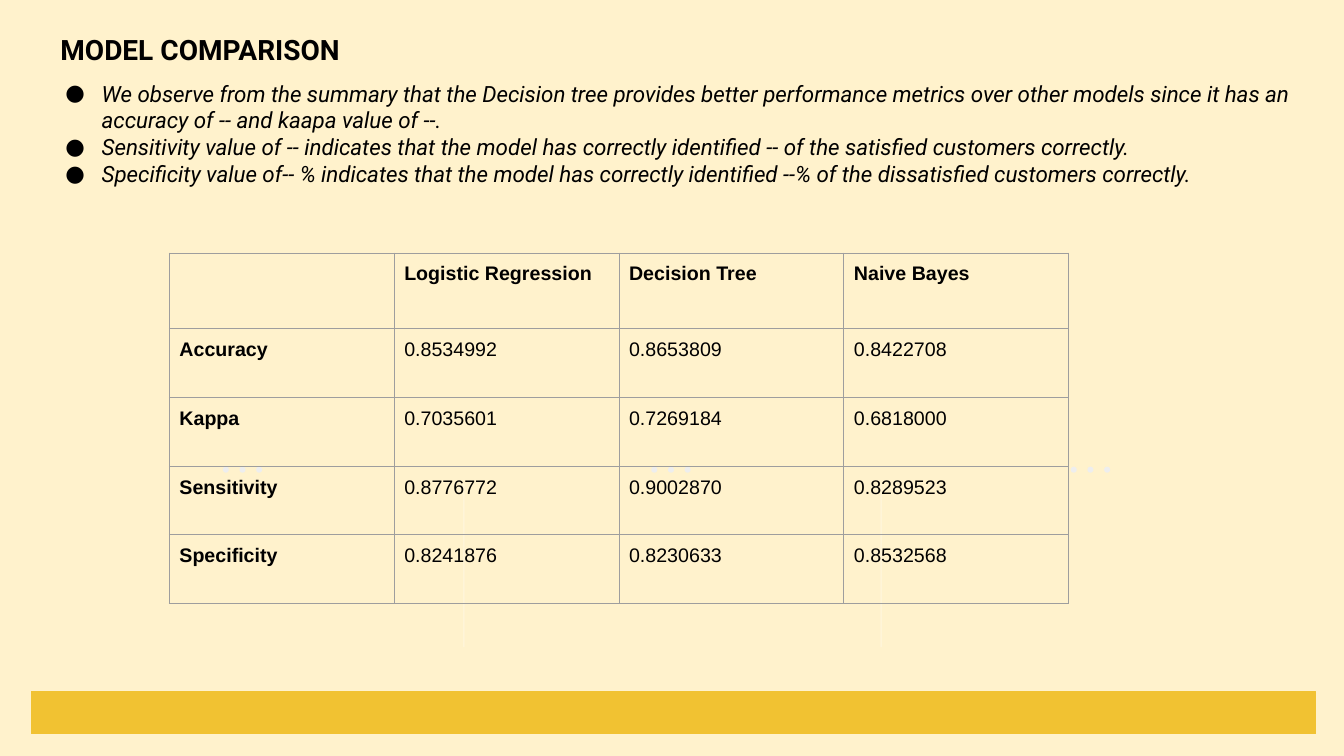
"""Build the model comparison slide, with every length given as a percentage of the slide."""
from typing import NamedTuple

from lxml.etree import SubElement
from pptx import Presentation
from pptx.dml.color import RGBColor
from pptx.enum.shapes import MSO_CONNECTOR, MSO_SHAPE
from pptx.oxml.ns import qn
from pptx.util import Inches, Pt

COLORS = {"page": "FFF2CC", "bar": "F1C232", "dot": "EEEEEE", "rule": "FFFFFF",
          "border": "9E9E9E", "text": "000000"}
WIDTH, HEIGHT = Inches(13.33), Inches(7.5)
TITLE_FONT = {"name": "Roboto", "size": Pt(20), "bold": True}
BULLET_FONT = {"name": "Roboto", "size": Pt(16), "italic": True}
LABEL_FONT = {"name": "Arial", "size": Pt(14), "bold": True}
VALUE_FONT = {**LABEL_FONT, "bold": False}
MARGINS = {f"margin_{side}": Inches(0.1) for side in ("left", "top", "right", "bottom")}


class Box(NamedTuple):
    left: float
    top: float
    width: float
    height: float


class TextBlock(NamedTuple):
    box: Box
    lines: list[str]
    font: dict
    bulleted: bool = False


BAR = Box(2.33, 91.47, 95.57, 5.6)
RULE_COLUMNS, RULE_TOP, RULE_BOTTOM = (34.51, 65.57), 64, 85.6
DOT_STARTS, DOT_STEP, DOT_TOP = (16.58, 48.46, 79.67), 1.24, 61.73
TABLE_LEFT, TABLE_TOP, COLUMN, HEADER_ROW, BODY_ROW = 12.6, 33.47, 16.73, 10, 9.1

TEXTS = [
    TextBlock(Box(3.08, 9.2, 93.85, 20.13), [
        "We observe from the summary that the Decision tree provides better performance metrics "
        "over other models since it has an accuracy of -- and kaapa value of --.",
        "Sensitivity value of -- indicates that the model has correctly identified -- of the "
        "satisfied customers correctly.",
        "Specificity value of-- % indicates that the model has correctly identified --% of the "
        "dissatisfied customers correctly.",
    ], BULLET_FONT, True),
    TextBlock(Box(3.75, 2.93, 84.62, 8.8), ["MODEL COMPARISON"], TITLE_FONT),
]
METRICS = [
    ["", "Logistic Regression", "Decision Tree", "Naive Bayes"],
    ["Accuracy", "0.8534992", "0.8653809", "0.8422708"],
    ["Kappa", "0.7035601", "0.7269184", "0.6818000"],
    ["Sensitivity", "0.8776772", "0.9002870", "0.8289523"],
    ["Specificity", "0.8241876", "0.8230633", "0.8532568"],
]


def across(share: float) -> int:
    """Turn a percentage of the slide width into a length."""
    return round(WIDTH * share / 100)


def down(share: float) -> int:
    """Turn a percentage of the slide height into a length."""
    return round(HEIGHT * share / 100)


def place(box: Box) -> tuple[int, int, int, int]:
    """Return the box as left, top, width and height lengths."""
    return across(box.left), down(box.top), across(box.width), down(box.height)


def rgb(name: str) -> RGBColor:
    """Look up a named colour."""
    return RGBColor.from_string(COLORS[name])


def set_all(target, values: dict) -> None:
    """Set every attribute in the dict on the target."""
    for name, value in values.items():
        setattr(target, name, value)


def write(p, text: str, font: dict) -> None:
    """Add one formatted run to a paragraph."""
    r = p.add_run()
    r.text = text
    set_all(r.font, font)
    r.font.color.rgb = rgb("text")


def add_bullet(p) -> None:
    """Give a paragraph a hanging round bullet."""
    props = p._p.get_or_add_pPr()
    props.set("marL", str(Inches(0.5)))
    props.set("indent", str(Inches(-0.36)))
    color = SubElement(props, qn("a:buClr"))
    SubElement(color, qn("a:srgbClr"), val=COLORS["text"])
    SubElement(props, qn("a:buFont"), typeface="Roboto")
    SubElement(props, qn("a:buChar"), char="●")


def add_text(s, block: TextBlock) -> None:
    """Draw a text block."""
    tf = s.shapes.add_textbox(*place(block.box)).text_frame
    set_all(tf, {"word_wrap": True, **MARGINS})
    for i, line in enumerate(block.lines):
        p = tf.add_paragraph() if i else tf.paragraphs[0]
        write(p, line, block.font)
        if block.bulleted:
            add_bullet(p)


def add_solid(shapes, kind: MSO_SHAPE, box: Box, color: str, outlined: bool = False) -> None:
    """Draw a filled shape, outlined in its own colour if wanted."""
    sp = shapes.add_shape(kind, *place(box))
    sp.shadow.inherit = False
    sp.fill.solid()
    sp.fill.fore_color.rgb = rgb(color)
    if outlined:
        sp.line.color.rgb = rgb(color)
        sp.line.width = Pt(0.75)
    else:
        sp.line.fill.background()


def add_rule(s, column: float) -> None:
    """Draw a faint vertical rule."""
    x = across(column)
    rule = s.shapes.add_connector(MSO_CONNECTOR.STRAIGHT, x, down(RULE_TOP), x, down(RULE_BOTTOM))
    rule.line.color.rgb = rgb("rule")
    rule.line.width = Pt(0.75)
    props = rule._element.spPr
    SubElement(next(props.iter(qn("a:srgbClr"))), qn("a:alpha"), val="40000")
    SubElement(props, qn("a:effectLst"))


def add_dots(s, start: float) -> None:
    """Draw a group of three dots."""
    group = s.shapes.add_group_shape()
    for i in range(3):
        add_solid(group.shapes, MSO_SHAPE.OVAL, Box(start + i * DOT_STEP, DOT_TOP, 0.45, 0.8), "dot")


def add_borders(cell) -> None:
    """Line all four sides of a table cell."""
    props = cell._tc.get_or_add_tcPr()
    for side in ("lnL", "lnR", "lnT", "lnB"):
        line = SubElement(props, qn(f"a:{side}"), w=str(Pt(0.75)))
        fill = SubElement(line, qn("a:solidFill"))
        SubElement(fill, qn("a:srgbClr"), val=COLORS["border"])


def add_metrics(s) -> None:
    """Draw the table of metrics by model."""
    rows, cols = len(METRICS), len(METRICS[0])
    box = Box(TABLE_LEFT, TABLE_TOP, cols * COLUMN, HEADER_ROW + (rows - 1) * BODY_ROW)
    table = s.shapes.add_table(rows, cols, *place(box)).table
    set_all(table, {"first_row": False, "horz_banding": False})
    for column in table.columns:
        column.width = across(COLUMN)
    for i, values in enumerate(METRICS):
        table.rows[i].height = down(BODY_ROW if i else HEADER_ROW)
        for j, value in enumerate(values):
            cell = table.cell(i, j)
            set_all(cell, MARGINS)
            add_borders(cell)
            cell.fill.background()
            if value:
                write(cell.text_frame.paragraphs[0], value, VALUE_FONT if i and j else LABEL_FONT)


def main() -> None:
    """Build and save the slide."""
    prs = Presentation()
    set_all(prs, {"slide_width": WIDTH, "slide_height": HEIGHT})
    s = prs.slides.add_slide(prs.slide_layouts[6])
    s.background.fill.solid()
    s.background.fill.fore_color.rgb = rgb("page")
    for column in RULE_COLUMNS:
        add_rule(s, column)
    for start in DOT_STARTS:
        add_dots(s, start)
    for block in TEXTS:
        add_text(s, block)
    add_solid(s.shapes, MSO_SHAPE.RECTANGLE, BAR, "bar", outlined=True)
    add_metrics(s)
    prs.save("out.pptx")


if __name__ == "__main__":
    main()
